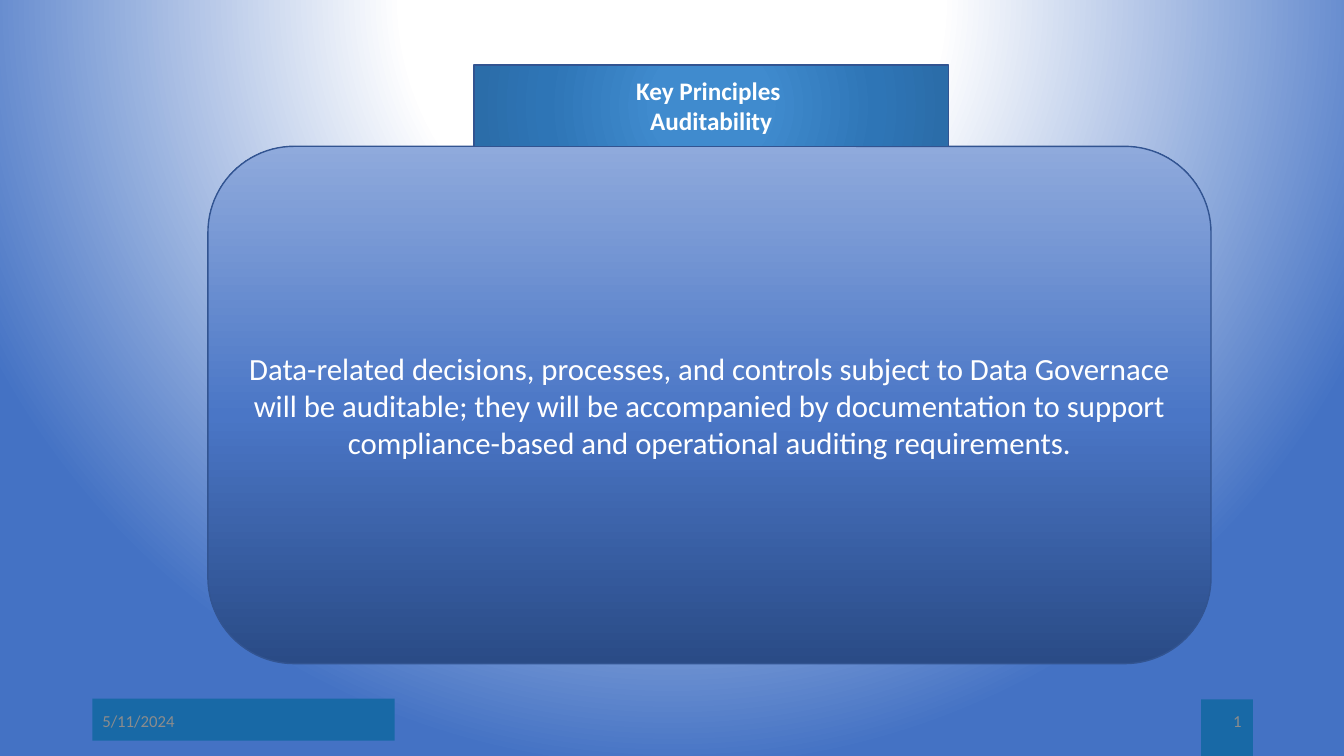
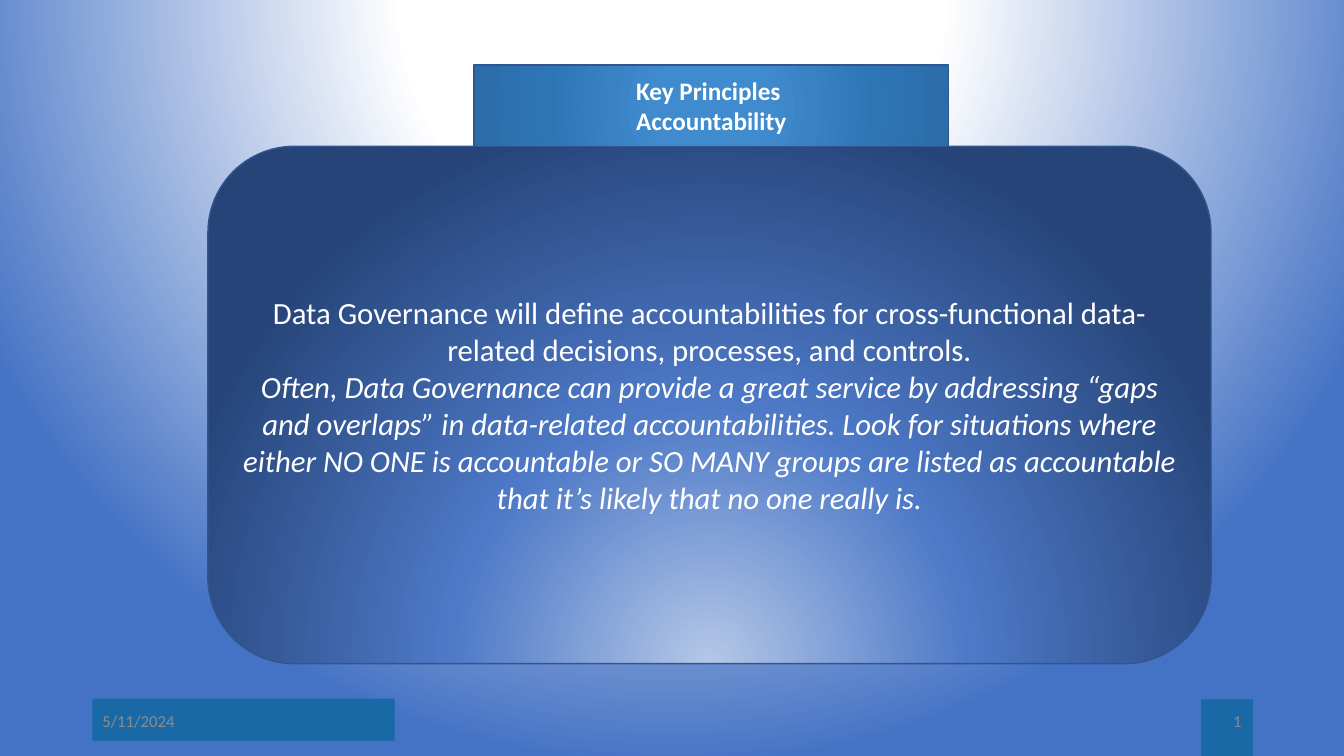
from dataclasses import dataclass

from lxml.etree import SubElement as Sub
from pptx import Presentation
from pptx.dml.color import RGBColor as RGB
from pptx.enum.shapes import MSO_SHAPE as Kind
from pptx.enum.text import MSO_ANCHOR as Anchor, MSO_AUTO_SIZE as Fit, PP_ALIGN as Align
from pptx.oxml.ns import qn
from pptx.util import Pt


@dataclass(frozen=True)
class Theme:
    font: str = "Calibri"
    white: str = "FFFFFF"
    gray: str = "8C8C8C"
    band: str = "1869A6"
    edge: str = "325491"
    head: int = 18
    body: int = 22
    foot: int = 12
    back: tuple = ((0, "FFFFFF"), (35, "FFFFFF"), (100, "4472C4"))
    tab: tuple = ((0, "408BCE"), (23, "408BCE"), (69, "2E75B6"), (97, "2B6DA9"))
    fade: tuple = ((0, "2A4B86"), (48, "4A76C6"), (100, "8FAADC"))
    glow: tuple = ((0, "B4C7E7"), (46, "4D79C7"), (100, "264478"))


theme = Theme()


def paint(item, fill, stops, focus=None):
    """Fill with a gradient: circular around focus, or upward without one."""
    fill.gradient()
    grad = next(item.element.iter(qn("a:gradFill")))
    for part in list(grad):
        grad.remove(part)
    steps = Sub(grad, qn("a:gsLst"))
    for place, color in stops:
        step = Sub(steps, qn("a:gs"), pos=str(place * 1000))
        Sub(step, qn("a:srgbClr"), val=color)
    if focus:
        ring = Sub(grad, qn("a:path"), {"path": "circle"})
        sides = {side: str(v * 1000) for side, v in zip("ltrb", focus)}
        Sub(ring, qn("a:fillToRect"), sides)
    else:
        Sub(grad, qn("a:lin"), ang=str(270 * 60000), scaled="0")


def write(shape, lines, size, color, align, bold=False):
    """Write (text, italic) lines as paragraphs, centred vertically."""
    frame = shape.text_frame
    frame.word_wrap = True
    frame.auto_size = Fit.NONE
    frame.vertical_anchor = Anchor.MIDDLE
    for i, (text, slant) in enumerate(lines):
        para = frame.add_paragraph() if i else frame.paragraphs[0]
        para.alignment = align
        run = para.add_run()
        run.text = text
        font = run.font
        font.name, font.size = theme.font, Pt(size)
        font.bold, font.italic = bold, slant
        font.color.rgb = RGB.from_string(color)


pages = [
    ("Auditability", theme.fade, None, [
        ("Data-related decisions, processes, and controls subject to Data Governace "
         "will be auditable; they will be accompanied by documentation to support "
         "compliance-based and operational auditing requirements.", False)]),
    ("Accountability", theme.glow, (50, 130, 50, -30), [
        ("Data Governance will define accountabilities for cross-functional "
         "data-related decisions, processes, and controls.", False),
        ("Often, Data Governance can provide a great service by addressing “gaps and "
         "overlaps” in data-related accountabilities. Look for situations where either "
         "NO ONE is accountable or SO MANY groups are listed as accountable that it’s "
         "likely that no one really is.", True)]),
]
bands = [(66, 499, 216, 30), (858, 499.5, 37, 40.5)]
notes = [(66, "5/11/2024", Align.LEFT), (678, "1", Align.RIGHT)]

# Deck and shared background
deck = Presentation()
deck.slide_width, deck.slide_height = Pt(960), Pt(540)
master = deck.slide_master
paint(master, master.background.fill, theme.back, (50, -80, 50, 180))

for topic, stops, focus, lines in pages:
    slide = deck.slides.add_slide(deck.slide_layouts.get_by_name("Title Only"))
    shapes = slide.shapes

    # Footer bands
    for box in bands:
        band = shapes.add_shape(Kind.RECTANGLE, *map(Pt, box))
        band.shadow.inherit = False
        band.fill.solid()
        band.fill.fore_color.rgb = RGB.from_string(theme.band)
        band.line.fill.background()

    # Date and page number
    for left, text, align in notes:
        note = shapes.add_textbox(Pt(left), Pt(500.5), Pt(216), Pt(29))
        write(note, [(text, False)], theme.foot, theme.gray, align)

    # Principle panel
    panel = shapes.add_shape(Kind.ROUNDED_RECTANGLE, Pt(148.5), Pt(104.5), Pt(716.5), Pt(369.5))
    panel.shadow.inherit = False
    paint(panel, panel.fill, stops, focus)
    write(panel, lines, theme.body, theme.white, Align.CENTER)

    # Title tab, rounded and in front of the panel
    title = shapes.title
    title.left, title.top, title.width, title.height = map(Pt, (338.5, 46.5, 339, 58))
    form = Sub(title.element.spPr, qn("a:prstGeom"), prst="roundRect")
    Sub(form, qn("a:avLst"))
    paint(title, title.fill, theme.tab, (50, 50, 50, 50))
    heads = [("Key Principles ", False), (topic, False)]
    write(title, heads, theme.head, theme.white, Align.CENTER, bold=True)
    title.element.getparent().append(title.element)

    # Outlines
    for shape in (panel, title):
        shape.line.color.rgb = RGB.from_string(theme.edge)
        shape.line.width = Pt(1)

deck.save("out.pptx")
